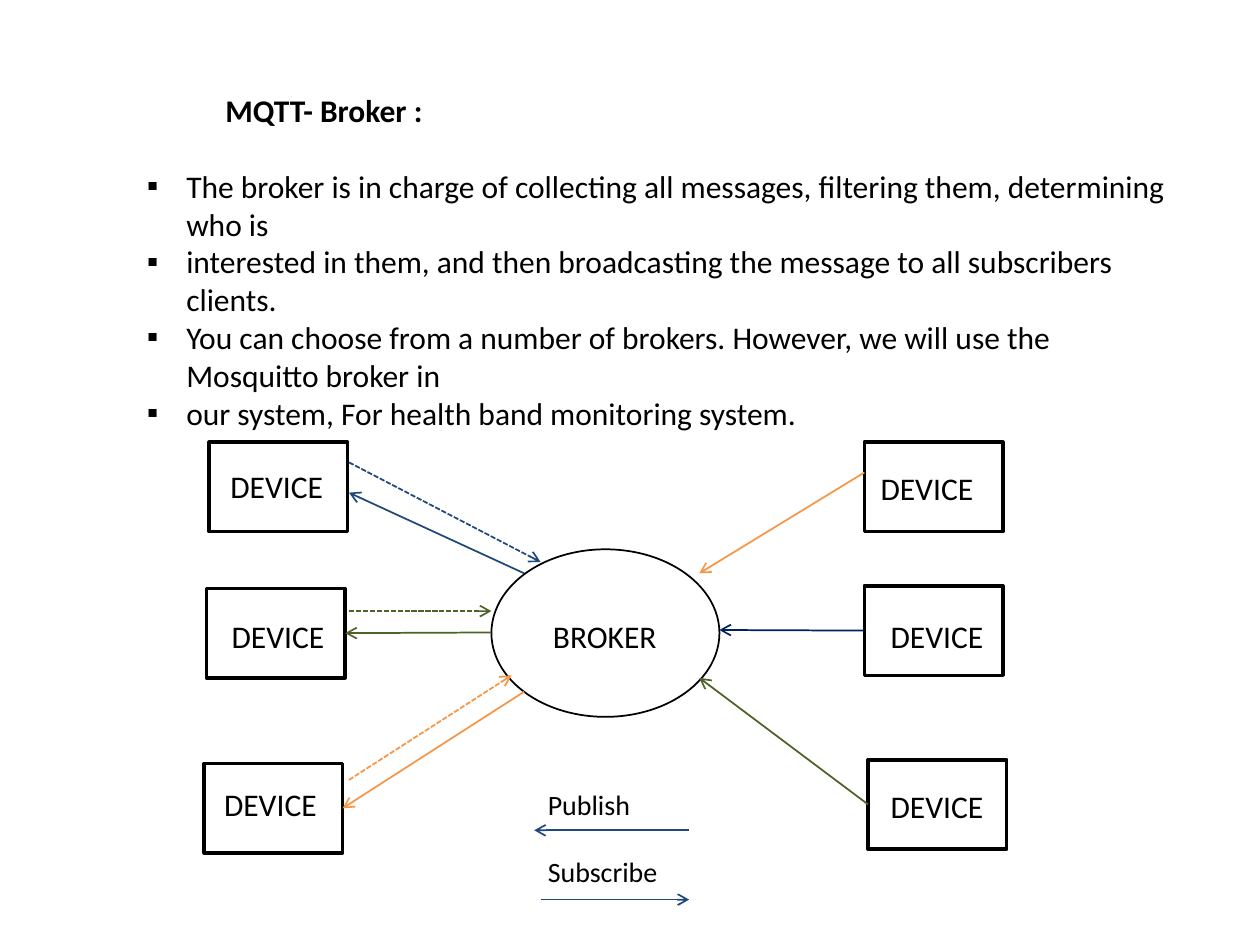
from lxml import etree
from pptx import Presentation, util as u
from pptx.dml.color import RGBColor
from pptx.enum import dml, shapes, text
from pptx.oxml.ns import qn

PX = 9144  # EMU per px, 100 px to the inch
BLACK, WHITE = "000000", "FFFFFF"
ORANGE, NAVY, GREEN, BLUE = "F79646", "002060", "4F6228", "1F497D"

prs = Presentation()
prs.slide_width, prs.slide_height = 1000 * PX, 750 * PX
s = prs.slides.add_slide(prs.slide_layouts[6])


def rgb(value):
    return RGBColor.from_string(value)


def add_text(box, lines, size):
    """Add a wrapping text box with one paragraph per line."""
    tf = s.shapes.add_textbox(*[v * PX for v in box]).text_frame
    tf.word_wrap = True
    tf.auto_size = text.MSO_AUTO_SIZE.SHAPE_TO_FIT_TEXT
    tf.text = "\n".join(lines)
    for p in tf.paragraphs:
        for r in p.runs:
            r.font.name, r.font.size = "Calibri", u.Pt(size)
            r.font.color.rgb = rgb(BLACK)
    return tf


# Heading and bullets
tf = add_text((107, 67, 835, 364), [
    "MQTT- Broker :",
    "The broker is in charge of collecting all messages, filtering them, determining who is",
    "interested in them, and then broadcasting the message to all subscribers clients.",
    "You can choose from a number of brokers. However, we will use the Mosquitto broker in",
    "our system, For health band monitoring system.",
], 18)
heading, *bullets = tf.paragraphs
heading.runs[0].font.bold = True
heading._p.get_or_add_pPr().set("marL", str(62 * PX))
bullets[0].space_before = u.Pt(22)
for p in bullets:
    pPr = p._p.get_or_add_pPr()
    pPr.set("marL", str(31 * PX))
    pPr.set("indent", str(-31 * PX))
    etree.SubElement(pPr, qn("a:buFont")).set("typeface", "Calibri")
    etree.SubElement(pPr, qn("a:buChar")).set("char", "▪")

# Broker and devices
RECT, OVAL = shapes.MSO_SHAPE.RECTANGLE, shapes.MSO_SHAPE.OVAL
nodes = {}
for node, kind, x, y, w, h, weight in [
    ("broker", OVAL, 390, 436, 181, 133, 1),
    ("left top", RECT, 166, 351, 110, 71, 2),
    ("left middle", RECT, 164, 467, 110, 71, 2),
    ("left bottom", RECT, 162, 606, 110, 71, 2),
    ("right top", RECT, 686, 351, 110, 71, 2),
    ("right middle", RECT, 686, 465, 110, 71, 2),
    ("right bottom", RECT, 689, 603, 110, 71, 2),
]:
    sp = s.shapes.add_shape(kind, x * PX, y * PX, w * PX, h * PX)
    sp.shadow.inherit = False
    sp.fill.solid()
    sp.fill.fore_color.rgb = rgb(WHITE)
    sp.line.color.rgb = rgb(BLACK)
    sp.line.width = u.Pt(weight)
    nodes[node] = sp

# Arrows: start, end, colour, dashed, device joined at the start, at the end
for x1, y1, x2, y2, color, dashed, source, target in [
    (686, 375, 555, 455, ORANGE, False, None, None),
    (686, 500, 571, 500, NAVY, False, "right middle", None),
    (689, 639, 555, 538, GREEN, False, "right bottom", None),
    (416, 455, 277, 391, BLUE, False, None, None),
    (390, 502, 274, 502, GREEN, False, None, "left middle"),
    (416, 549, 272, 641, ORANGE, False, None, "left bottom"),
    (277, 367, 429, 446, BLUE, True, None, None),
    (277, 485, 390, 485, GREEN, True, None, None),
    (277, 619, 406, 536, ORANGE, True, None, None),
    (547, 659, 424, 659, BLUE, False, None, None),
    (429, 714, 547, 714, BLUE, False, None, None),
]:
    c = s.shapes.add_connector(shapes.MSO_CONNECTOR.STRAIGHT,
                               x1 * PX, y1 * PX, x2 * PX, y2 * PX)
    if source:
        c.begin_connect(nodes[source], 1)
    if target:
        c.end_connect(nodes[target], 3)
    c.line.color.rgb = rgb(color)
    c.line.width = u.Pt(1)
    if dashed:
        c.line.dash_style = dml.MSO_LINE.SQUARE_DOT
    etree.SubElement(c.line._get_or_add_ln(), qn("a:tailEnd")).set("type", "arrow")
    etree.SubElement(c._element.spPr, qn("a:effectLst"))

# Labels
for label, x, y, w, h, size in [
    ("DEVICE", 173, 366, 97, 40, 18),
    ("DEVICE", 174, 485, 96, 40, 18),
    ("DEVICE", 168, 618, 96, 40, 18),
    ("DEVICE", 689, 367, 107, 40, 18),
    ("DEVICE", 697, 485, 99, 40, 18),
    ("DEVICE", 697, 620, 94, 40, 18),
    ("BROKER", 429, 485, 118, 40, 18),
    ("Publish", 425, 620, 126, 37, 16),
    ("Subscribe", 425, 673, 126, 37, 16),
]:
    add_text((x, y, w, h), [label], size)

prs.save("out.pptx")
